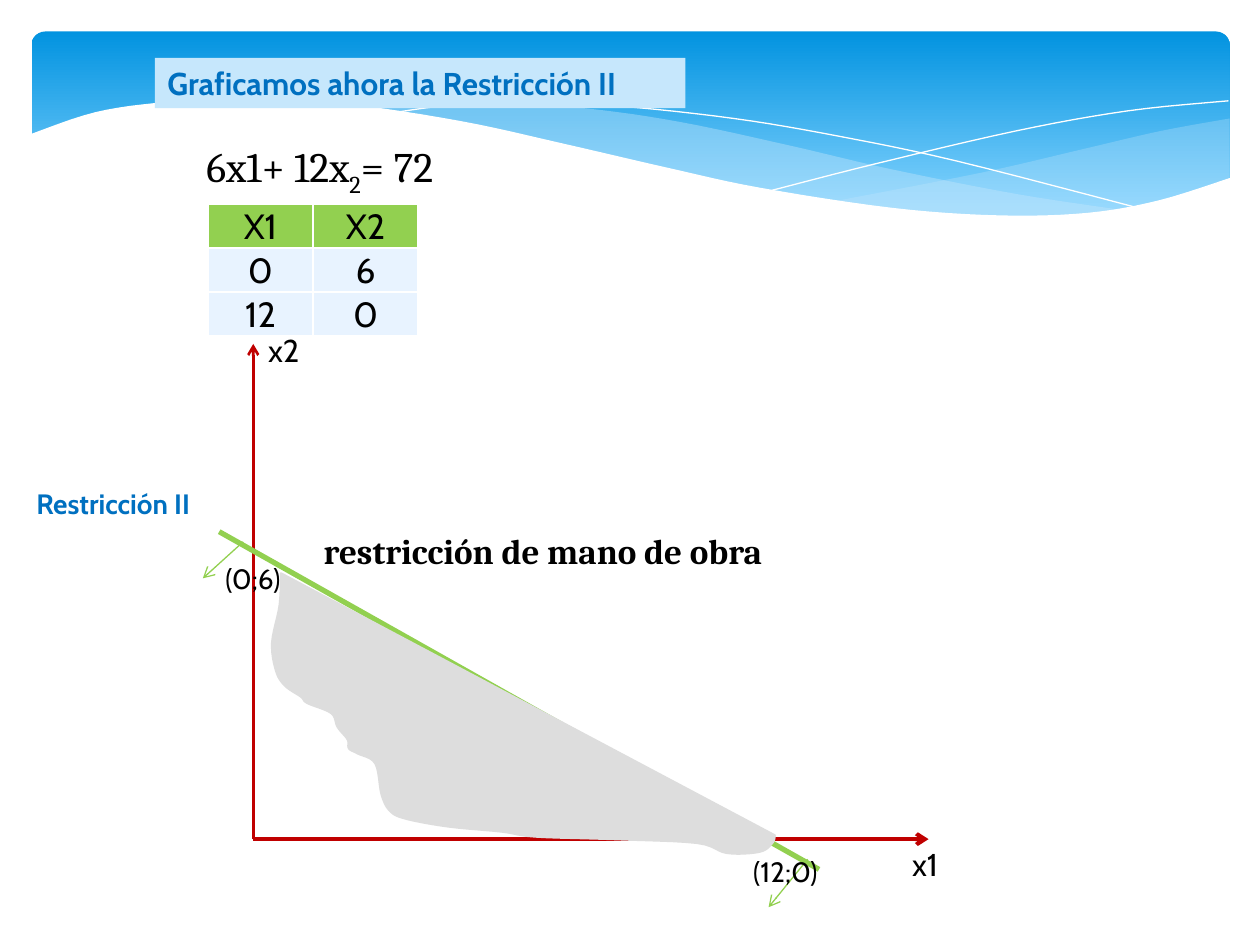
"""Build the slide that plots the second restriction of a linear programme."""
from dataclasses import dataclass

from lxml import etree
from pptx import Presentation
from pptx.dml.color import RGBColor
from pptx.enum.shapes import MSO_CONNECTOR, MSO_SHAPE
from pptx.enum.text import MSO_ANCHOR, MSO_AUTO_SIZE, PP_ALIGN
from pptx.oxml.ns import qn
from pptx.util import Inches, Pt

STRAIGHT = MSO_CONNECTOR.STRAIGHT
ROUNDED, RECT = MSO_SHAPE.ROUNDED_RECTANGLE, MSO_SHAPE.RECTANGLE
CENTER, MIDDLE = PP_ALIGN.CENTER, MSO_ANCHOR.MIDDLE
FIT_SHAPE = MSO_AUTO_SIZE.SHAPE_TO_FIT_TEXT
WIDTH, HEIGHT = Inches(10), Inches(7.5)
COLS, ROWS = 100, 75

Point = tuple[float, float]


@dataclass(frozen=True)
class Theme:
    sans: str = "Cabin"
    serif: str = "Cambria"
    equation: int = 24
    large: int = 20
    medium: int = 18
    small: int = 16
    ink: str = "000000"
    title: str = "0070C0"
    white: str = "FFFFFF"
    pale: str = "C6E7FC"
    sky_top: str = "0293E0"
    sky_bottom: str = "83D3FE"
    green: str = "92D050"
    cell: str = "E8F3FF"
    axis: str = "C00000"
    region: str = "DDDDDD"


@dataclass(frozen=True)
class Line:
    start: Point
    end: Point
    color: str
    width: float
    arrow: bool = True


@dataclass(frozen=True)
class Label:
    text: str
    box: tuple[float, float, float, float]
    size: int
    font: str = Theme.sans
    color: str = Theme.ink
    bold: bool = False


@dataclass(frozen=True)
class Wave:
    curves: tuple[tuple[Point, ...], ...]
    fill: str | None = None
    alpha: int = 100
    line: str | None = None
    width: float = 0


T = Theme()

WAVES = (
    Wave((((97.6, 9.4), (92.1, 10.4), (86.1, 11.8), (77.9, 13.7), (66.1, 16)),
          ((66.1, 16), (73.2, 16.8), (80.3, 17.2), (87.2, 16.9), (92.8, 15.8), (97.6, 14.1))),
         T.pale, 29),
    Wave((((89.3, 16.7), (80.7, 15.4), (70.6, 13.4), (62.9, 11.6), (54.1, 9.7), (46.5, 8.6),
           (38, 8), (32.8, 8.1), (28.6, 8.6)),
          ((28.6, 8.6), (36.2, 9.7), (44.9, 11.6), (56.6, 14.3), (66.5, 16.1), (74.8, 17),
           (81.8, 17.3), (89.3, 16.7))), T.pale, 40),
    Wave((((30.9, 9), (35.3, 8.4), (41.6, 8.1), (48.9, 8.4), (58.2, 9.4), (66.5, 10.8),
           (76, 12.8), (90.7, 16.6)),), line=T.white),
    Wave((((61.3, 15.1), (69.5, 13), (80.6, 10.4), (89.5, 8.8), (97.5, 8)),), line=T.white),
    Wave((((97.7, 14.1), (92, 15.9), (86.3, 16.9), (79.3, 17.1), (70.8, 16.5), (60.3, 14.9),
           (52.9, 13.3), (44.7, 11.4), (36.5, 9.6), (27.1, 8.2), (19.3, 7.8), (13.2, 8.1),
           (7.6, 8.9), (2.3, 10.7)), ((2.3, 22.4), (97.7, 22.4))), T.white),
)

FEASIBLE = Wave((((22.3, 45.5), (22.2, 48), (21.6, 51), (21.9, 53.2), (22.6, 54.4), (23.9, 55.3),
                  (24.4, 55.8), (26.3, 56.6), (26.8, 57.7), (27.6, 58.7), (27.7, 59.4),
                  (28.4, 59.8), (29.8, 60.6), (30.3, 63.1), (31, 64.4), (32.3, 65),
                  (35.6, 65.6), (39.8, 66), (42.5, 66.4), (48.7, 66.6), (55.3, 66.9),
                  (57.7, 67.7), (60.3, 67.6), (61.3, 66.9), (61.5, 66.3)),),
                T.region, line=T.region, width=1.25)

ORIGIN = (20.1, 66.6)
LINES = (
    Line(ORIGIN, (73.7, 66.6), T.axis, 2.25),
    Line(ORIGIN, (20.1, 27.3), T.axis, 1.5),
    Line((17.4, 42.2), (65, 69), T.green, 3, arrow=False),
    Line((19.3, 43), (16.1, 45.9), T.green, 0.75),
    Line((64.1, 68.2), (61, 72), T.green, 0.75),
)

TITLE = Label("Graficamos ahora la Restricción II", (12.3, 4.6, 42.1, 4), T.medium,
              color=T.title, bold=True)
EQUATION = Label("6x1+ 12x_2_= 72", (15.4, 10.7, 24.3, 5), T.equation, T.serif)
LABELS = (
    EQUATION,
    Label("(12;0)", (58.8, 67.3, 8, 3.7), T.small),
    Label("(0;6)", (16.9, 44.1, 6.8, 3.7), T.small),
    Label("x1", (71.4, 66.6, 4.6, 4), T.medium),
    Label("x2", (20.3, 25.8, 4.6, 4), T.medium),
    Label("Restricción II", (1.9, 38.1, 15.7, 3.7), T.small, color=T.title, bold=True),
    Label("restricción de mano de obra", (24.7, 41.5, 38.1, 4.4), T.large, T.serif, bold=True),
)
INTERCEPTS = (("X1", "X2"), ("0", "6"), ("12", "0"))


def place(*cells: float) -> list[int]:
    """Turn alternating column and row counts into slide lengths."""
    return [round(n * (HEIGHT / ROWS if i % 2 else WIDTH / COLS)) for i, n in enumerate(cells)]


def rgb(color: str) -> RGBColor:
    """Return the colour object of a hex value."""
    return RGBColor.from_string(color)


def smooth(points: tuple[Point, ...], steps: int = 6) -> list[Point]:
    """Sample a Catmull-Rom curve through the points."""
    if len(points) < 3:
        return list(points)
    ends = (points[0], *points, points[-1])
    curve = [points[0]]
    for a, b, c, d in zip(ends, ends[1:], ends[2:], ends[3:]):
        for t in (k / steps for k in range(1, steps + 1)):
            curve.append(tuple(
                (2 * q + (r - p) * t + (2 * p - 5 * q + 4 * r - s) * t ** 2
                 + (3 * q - p - 3 * r + s) * t ** 3) / 2
                for p, q, r, s in zip(a, b, c, d)))
    return curve


def add_wave(s, wave: Wave) -> None:
    """Draw a curved outline, closed when it has a fill."""
    start, *rest = [place(*pt) for curve in wave.curves for pt in smooth(curve)]
    builder = s.shapes.build_freeform(*start, scale=1.0)
    builder.add_line_segments(rest, close=wave.fill is not None)
    sp = builder.convert_to_shape()
    sp.shadow.inherit = False
    if wave.fill:
        sp.fill.solid()
        sp.fill.fore_color.rgb = rgb(wave.fill)
        if wave.alpha < 100:
            color = sp.fill._xPr.find(f".//{qn('a:srgbClr')}")
            etree.SubElement(color, qn("a:alpha"), val=str(wave.alpha * 1000))
    else:
        sp.fill.background()
    if wave.line:
        sp.line.color.rgb = rgb(wave.line)
        sp.line.width = Pt(wave.width)
    else:
        sp.line.fill.background()


def add_sky(s) -> None:
    """Draw the gradient banner with its waves."""
    sp = s.shapes.add_shape(ROUNDED, *place(2.5, 2.5, 95.1, 15.6))
    sp.adjustments[0] = 0.07
    sp.shadow.inherit = False
    sp.line.fill.background()
    sp.fill.gradient()
    sp.fill.gradient_angle = 270
    for stop, color, position in zip(sp.fill.gradient_stops, (T.sky_top, T.sky_bottom), (0, 0.9)):
        stop.color.rgb = rgb(color)
        stop.position = position
    for wave in WAVES:
        add_wave(s, wave)


def add_run(p, text: str, *, size: int, font: str = T.sans, color: str = T.ink,
            bold: bool = False, subscript: bool = False) -> None:
    """Append formatted text to a paragraph."""
    r = p.add_run()
    r.text = text
    r.font.size, r.font.name, r.font.bold = Pt(size), font, bold
    r.font.color.rgb = rgb(color)
    if subscript:
        r._r.get_or_add_rPr().set("baseline", "-25000")


def add_label(s, label: Label, fill: str | None = None) -> None:
    """Draw a text label, with underscores around its subscripts."""
    if fill:
        sp = s.shapes.add_shape(RECT, *place(*label.box))
        sp.shadow.inherit = False
        sp.fill.solid()
        sp.fill.fore_color.rgb = rgb(fill)
        sp.line.fill.background()
    else:
        sp = s.shapes.add_textbox(*place(*label.box))
    tf = sp.text_frame
    tf.word_wrap = fill is not None
    tf.auto_size = FIT_SHAPE
    tf.vertical_anchor = MSO_ANCHOR.TOP
    p = tf.paragraphs[0]
    p.alignment = PP_ALIGN.LEFT
    for i, text in enumerate(label.text.split("_")):
        add_run(p, text, size=label.size, font=label.font, color=label.color,
                bold=label.bold, subscript=i % 2 == 1)


def add_line(s, line: Line) -> None:
    """Draw a straight line with an optional open arrowhead."""
    cx = s.shapes.add_connector(STRAIGHT, *place(*line.start, *line.end))
    cx.line.color.rgb = rgb(line.color)
    cx.line.width = Pt(line.width)
    if line.arrow:
        etree.SubElement(cx.line._get_or_add_ln(), qn("a:tailEnd"), type="arrow")
    etree.SubElement(cx._element.spPr, qn("a:effectLst"))


def add_intercepts(s) -> None:
    """Draw the table of axis intercepts."""
    frame = s.shapes.add_table(len(INTERCEPTS), 2, *place(16.5, 16.2, 16.7, 10.3))
    for i, row in enumerate(INTERCEPTS):
        for j, text in enumerate(row):
            cell = frame.table.cell(i, j)
            cell.margin_left = cell.margin_right = cell.margin_top = Inches(0.01)
            cell.margin_bottom = 0
            cell.vertical_anchor = MIDDLE
            for side in "LRTB":
                ln = etree.SubElement(cell._tc.get_or_add_tcPr(), qn(f"a:ln{side}"), w=str(Pt(1)))
                etree.SubElement(etree.SubElement(ln, qn("a:solidFill")), qn("a:srgbClr"), val=T.white)
            cell.fill.solid()
            cell.fill.fore_color.rgb = rgb(T.cell if i else T.green)
            p = cell.text_frame.paragraphs[0]
            p.alignment = CENTER
            add_run(p, text, size=T.large)


def main() -> None:
    """Build and save the slide."""
    prs = Presentation()
    prs.slide_width, prs.slide_height = WIDTH, HEIGHT
    s = prs.slides.add_slide(prs.slide_layouts[6])
    add_sky(s)
    add_intercepts(s)
    for line in LINES:
        add_line(s, line)
    for label in LABELS:
        add_label(s, label)
    add_label(s, TITLE, fill=T.pale)
    add_wave(s, FEASIBLE)
    prs.save("out.pptx")


if __name__ == "__main__":
    main()
